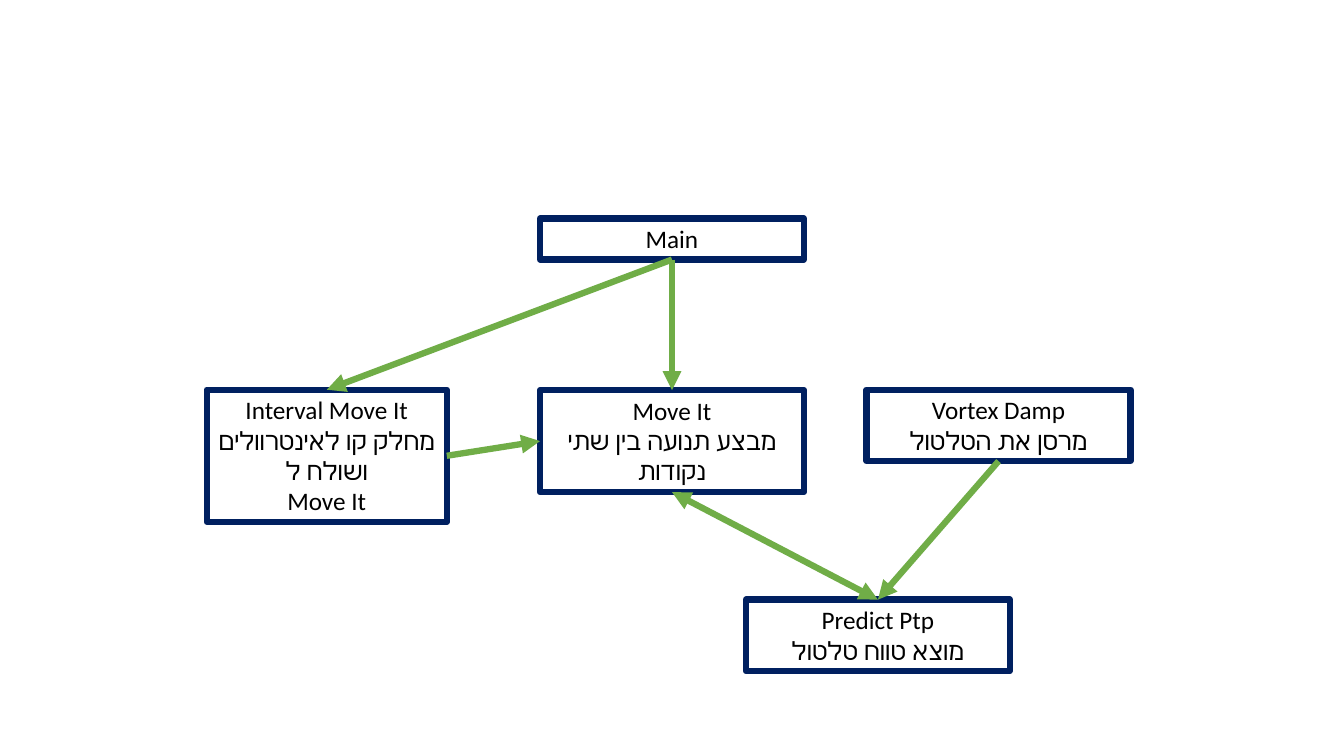
from lxml import etree
from pptx import Presentation
from pptx.dml.color import RGBColor
from pptx.enum.shapes import MSO_CONNECTOR
from pptx.enum.text import MSO_AUTO_SIZE, PP_ALIGN
from pptx.oxml.ns import qn
from pptx.util import Cm, Pt

STRAIGHT = MSO_CONNECTOR.STRAIGHT
GROW = MSO_AUTO_SIZE.SHAPE_TO_FIT_TEXT
CENTER = PP_ALIGN.CENTER
TOP, LEFT, BOTTOM, RIGHT = range(4)
BLANK_LAYOUT = 6
NAVY, GREEN, BLACK = "002060", "70AD47", "000000"
BOX_WIDTH = 6.65
MIDDLE_COLUMN = 13.61


def paint_line(line, color):
    """Give a line its colour and the diagram's common width."""
    line.color.rgb = RGBColor.from_string(color)
    line.width = Pt(4.5)


def add_box(slide, left, top, height, paragraphs, width=BOX_WIDTH):
    """Add an outlined box with centred paragraphs; lengths in cm."""
    box = slide.shapes.add_textbox(Cm(left), Cm(top), Cm(width), Cm(height))
    paint_line(box.line, NAVY)
    frame = box.text_frame
    frame.word_wrap = True
    frame.auto_size = GROW
    frame.text = "\n".join(paragraphs)
    for paragraph in frame.paragraphs:
        paragraph.alignment = CENTER
        paragraph.font.name = "Calibri"
        paragraph.font.size = Pt(18)
        paragraph.font.color.rgb = RGBColor.from_string(BLACK)
    return box


def add_arrow(slide, source, source_side, target, target_side, both_ways=False):
    """Connect two boxes with an arrow glued to their sides."""
    arrow = slide.shapes.add_connector(STRAIGHT, 0, 0, 0, 0)
    arrow.begin_connect(source, source_side)
    arrow.end_connect(target, target_side)
    paint_line(arrow.line, GREEN)
    outline = arrow.line._get_or_add_ln()
    for end in ("a:headEnd", "a:tailEnd") if both_ways else ("a:tailEnd",):
        etree.SubElement(outline, qn(end), type="triangle")
    etree.SubElement(arrow._element.spPr, qn("a:effectLst"))


def main():
    """Build the call diagram and save it."""
    presentation = Presentation()
    presentation.slide_width = Cm(33.87)
    presentation.slide_height = Cm(19.05)
    slide = presentation.slides.add_slide(presentation.slide_layouts[BLANK_LAYOUT])

    main_box = add_box(slide, MIDDLE_COLUMN, 5.51, 1.03, ["Main"])
    interval = add_box(slide, 5.21, 9.82, 3.33,
                       ["Interval Move It", "מחלק קו לאינטרוולים ושולח ל", "Move It"],
                       width=6.05)
    move = add_box(slide, MIDDLE_COLUMN, 9.83, 2.57,
                   ["Move It", "מבצע תנועה בין שתי נקודות"])
    vortex = add_box(slide, 21.84, 9.82, 1.8, ["Vortex Damp", "מרסן את הטלטול"])
    predict = add_box(slide, 18.8, 15.11, 1.8, ["Predict Ptp", "מוצא טווח טלטול"])

    add_arrow(slide, move, BOTTOM, predict, TOP, both_ways=True)
    add_arrow(slide, main_box, BOTTOM, move, TOP)
    add_arrow(slide, main_box, BOTTOM, interval, TOP)
    add_arrow(slide, interval, RIGHT, move, LEFT)
    add_arrow(slide, vortex, BOTTOM, predict, TOP)

    presentation.save("out.pptx")


if __name__ == "__main__":
    main()
